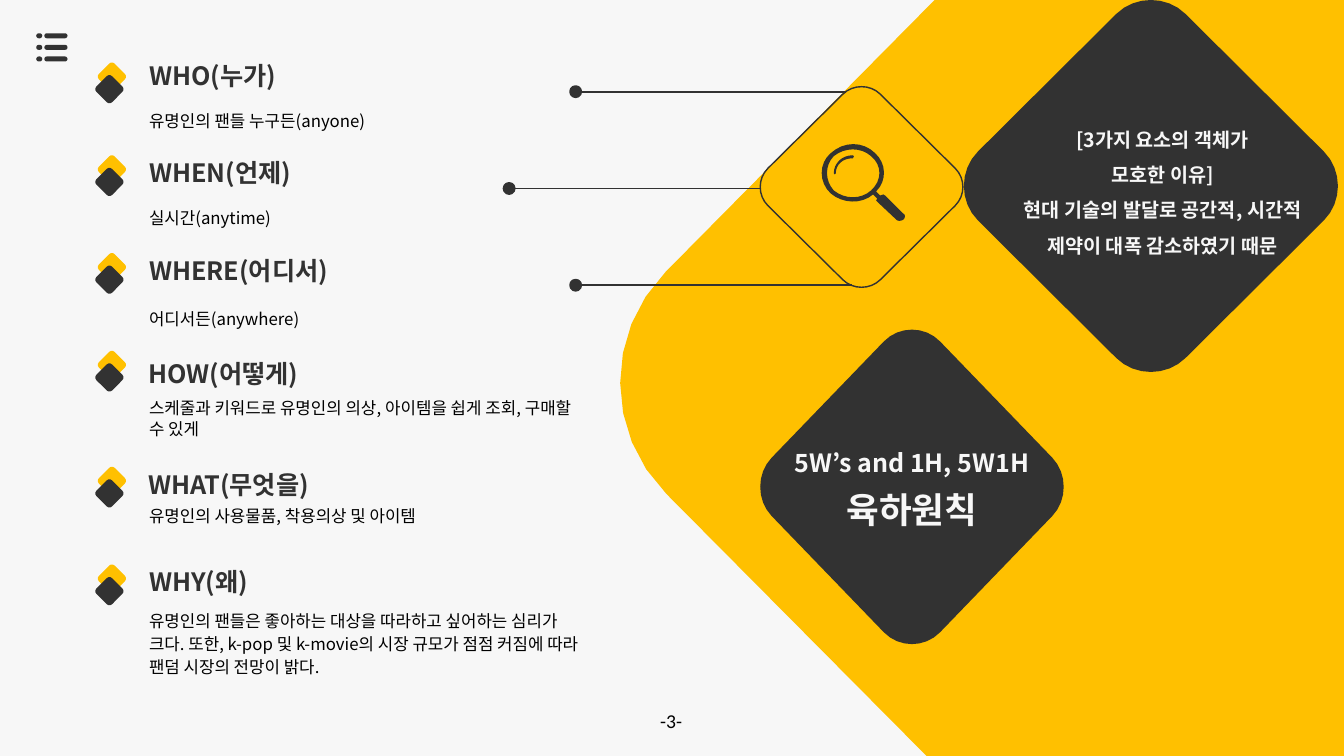
from lxml import etree
from pptx import Presentation
from pptx.dml.color import RGBColor
from pptx.enum.shapes import MSO_CONNECTOR, MSO_SHAPE
from pptx.enum.text import MSO_AUTO_SIZE, PP_ALIGN
from pptx.oxml.ns import qn
from pptx.util import Inches, Pt

COLORS = {"dark": "323232", "yellow": "FFC000", "light": "F7F7F7", "black": "000000"}
COLORS = {name: RGBColor.from_string(value) for name, value in COLORS.items()}
KOREAN_FONT = "Noto Sans CJK KR"
CURVE_STEPS = 8

presentation = Presentation()
presentation.slide_width = Inches(13.33)
presentation.slide_height = Inches(7.5)
slide = presentation.slides.add_slide(presentation.slide_layouts[6])
slide.background.fill.solid()
slide.background.fill.fore_color.rgb = COLORS["light"]


def add_outline(contours, fill=None):
    """Each contour step is a line end (x, y) or a cubic curve (x1, y1, x2, y2, x, y)."""
    builder = None
    for contour in contours:
        points = [contour[0]]
        for step in contour[1:]:
            if len(step) == 2:
                points.append(step)
                continue
            nodes = [points[-1], step[0:2], step[2:4], step[4:6]]
            for index in range(1, CURVE_STEPS + 1):
                t = index / CURVE_STEPS
                weights = [(1 - t) ** 3, 3 * t * (1 - t) ** 2, 3 * t * t * (1 - t), t ** 3]
                points.append(tuple(sum(w * node[axis] for w, node in zip(weights, nodes))
                                    for axis in (0, 1)))
        points = [(Inches(x), Inches(y)) for x, y in points]
        if builder is None:
            builder = slide.shapes.build_freeform(*points[0])
        else:
            builder.move_to(*points[0])
        builder.add_line_segments(points[1:], close=True)
    shape = builder.convert_to_shape()
    shape.shadow.inherit = False
    if fill:
        shape.fill.solid()
        shape.fill.fore_color.rgb = COLORS[fill]
        shape.line.fill.background()
    else:
        shape.fill.background()
        shape.line.color.rgb = COLORS["dark"]
        shape.line.width = Pt(1)


def add_text(box, lines, color, bold=False, align=None, spacing=None, font=KOREAN_FONT):
    """Lines are (text, size) pairs, one paragraph each."""
    text_frame = slide.shapes.add_textbox(*[Inches(value) for value in box]).text_frame
    text_frame.word_wrap = True
    text_frame.text = "\n".join(text for text, size in lines)
    for paragraph, (text, size) in zip(text_frame.paragraphs, lines):
        paragraph.alignment = align
        paragraph.line_spacing = spacing
        run = paragraph.runs[0]
        run.font.size = Pt(size)
        run.font.name = font
        run.font.bold = bold
        run.font.color.rgb = COLORS[color]
        east_asian = etree.SubElement(run.font._element, qn("a:ea"))
        east_asian.set("typeface", font)
    return text_frame


# Yellow panel
add_outline([[(9.27, 0), (13.33, 0), (13.33, 7.58), (9.27, 7.58), (6.61, 4.9),
              (6, 4.29, 6, 3.31, 6.6, 2.7)]], "yellow")

# Rounded bars of the menu icon: left, top, width, height, corner, rotation, fill
bars = []
for row in range(3):
    for left, width in ((0.36, 0.06), (0.44, 0.23)):
        bars.append((left, 0.33 + row * 0.115, width, 0.05, 0.5, 0, "dark"))
# Pair of small turned squares beside each heading
for marker_top in (0.65, 1.57, 2.54, 3.51, 4.66, 5.63):
    bars += [(1, marker_top, 0.22, 0.22, 0.17, 45, "yellow"),
             (0.975, marker_top + 0.125, 0.22, 0.22, 0.17, 45, "dark")]
for left, top, width, height, corner, rotation, fill in bars:
    bar = slide.shapes.add_shape(MSO_SHAPE.ROUNDED_RECTANGLE, Inches(left), Inches(top),
                                 Inches(width), Inches(height))
    bar.adjustments[0] = corner
    bar.rotation = rotation
    bar.shadow.inherit = False
    bar.fill.solid()
    bar.fill.fore_color.rgb = COLORS[fill]
    bar.line.fill.background()

# Lines with dots that lead to the magnifier diamond
for dot_left, y, line_end in ((5.66, 0.91, 8.39), (5, 1.87, 7.54), (5.66, 2.83, 8.45)):
    leader = slide.shapes.add_connector(MSO_CONNECTOR.STRAIGHT, Inches(dot_left + 0.08),
                                        Inches(y), Inches(line_end), Inches(y))
    leader.line.color.rgb = COLORS["dark"]
    leader.line.width = Pt(1.25)
    etree.SubElement(leader._element.spPr, qn("a:effectLst"))
    dot = slide.shapes.add_shape(MSO_SHAPE.OVAL, Inches(dot_left), Inches(y - 0.05),
                                 Inches(0.1), Inches(0.1))
    dot.shadow.inherit = False
    dot.fill.solid()
    dot.fill.fore_color.rgb = COLORS["dark"]
    dot.line.color.rgb = COLORS["dark"]
    dot.line.width = Pt(2)

# Large rounded diamonds: one corner, turned four times
for left, top, width, height, fill in ((7.54, 3.27, 3.01, 3.12, "dark"),
                                       (7.54, 0.86, 2.01, 1.99, None),
                                       (9.56, 0, 3.71, 3.69, "dark")):
    corner = [(0.925, -0.185), (1.025, -0.085), (1.025, 0.085), (0.925, 0.185)]
    contour = []
    for quarter in range(4):
        placed = [(left + width * (1 + x) / 2, top + height * (1 + y) / 2) for x, y in corner]
        contour += [placed[0], placed[1] + placed[2] + placed[3]]
        corner = [(-y, x) for x, y in corner]
    add_outline([contour], fill)

# Magnifier: glint, then lens ring with handle
add_outline([[(8.46, 1.54), (8.35, 1.54, 8.27, 1.62, 8.27, 1.72), (8.28, 1.73), (8.29, 1.72),
              (8.29, 1.63, 8.36, 1.57, 8.46, 1.57), (8.47, 1.55)]], "dark")
add_outline([[(8.96, 2.12), (8.78, 1.94), (8.76, 1.93), (8.73, 1.94), (8.69, 1.9),
              (8.8, 1.79, 8.79, 1.62, 8.68, 1.52), (8.56, 1.4, 8.37, 1.4, 8.24, 1.52),
              (8.12, 1.62, 8.12, 1.81, 8.24, 1.92), (8.36, 2.02, 8.54, 2.03, 8.66, 1.93),
              (8.7, 1.97), (8.69, 1.99), (8.71, 2.01), (8.89, 2.18),
              (8.91, 2.2, 8.94, 2.19, 8.96, 2.18), (8.98, 2.16, 8.98, 2.13, 8.96, 2.12)],
             [(8.64, 1.89), (8.54, 1.98, 8.38, 1.98, 8.27, 1.89),
              (8.18, 1.79, 8.18, 1.64, 8.27, 1.55), (8.38, 1.46, 8.54, 1.46, 8.64, 1.55),
              (8.75, 1.64, 8.75, 1.79, 8.64, 1.89)]], "dark")

# Headings: text, box, line spacing
headings = [
    ("WHO(누가)", (1.38, 0.61, 1.74, 0.35), 0.8),
    ("WHEN(언제)", (1.38, 1.57, 1.74, 0.35), 0.8),
    ("WHERE(어디서)", (1.38, 2.52, 2.19, 0.46), 0.9),
    ("HOW(어떻게)", (1.37, 3.54, 2.01, 0.46), 0.9),
    ("WHAT(무엇을)", (1.37, 4.64, 2.01, 0.46), 0.9),
    ("WHY(왜)", (1.38, 5.63, 1.47, 0.35), 0.8),
]
for text, box, spacing in headings:
    add_text(box, [(text, 18)], "dark", bold=True, spacing=spacing)

# Answers: text, box, line spacing, alignment
answers = [
    ("유명인의 팬들 누구든(anyone)", (1.38, 0.95, 2.73, 0.46), 1.5, PP_ALIGN.JUSTIFY),
    ("실시간(anytime)", (1.38, 1.91, 2.66, 0.46), 1.5, PP_ALIGN.JUSTIFY),
    ("어디서든(anywhere)", (1.38, 2.91, 2.19, 0.35), 1.5, PP_ALIGN.JUSTIFY),
    ("스케줄과 키워드로 유명인의 의상, 아이템을 쉽게 조회, 구매할 수 있게",
     (1.38, 3.9, 4.47, 0.65), None, None),
    ("유명인의 사용물품, 착용의상 및 아이템", (1.38, 4.97, 4.47, 0.4), None, None),
    ("유명인의 팬들은 좋아하는 대상을 따라하고 싶어하는 심리가 크다. 또한, k-pop 및 "
     "k-movie의 시장 규모가 점점 커짐에 따라 팬덤 시장의 전망이 밝다.",
     (1.38, 5.98, 4.47, 1.32), 1.15, None),
]
for text, box, spacing, align in answers:
    add_text(box, [(text, 12)], "black", align=align, spacing=spacing)

# Text on the dark diamonds
title = add_text((7.6, 4.45, 2.89, 0.94), [("5W’s and 1H, 5W1H", 17.9), ("육하원칙", 25.4)],
                 "light", bold=True, align=PP_ALIGN.CENTER, spacing=0.8)
title.paragraphs[1].space_before = Pt(13)
reasons = ["[3가지 요소의 객체가", "모호한 이유]",
           "현대 기술의 발달로 공간적, 시간적 제약이 대폭 감소하였기 때문"]
add_text((9.79, 1.1, 3.48, 1.15), [(reason, 14) for reason in reasons], "light",
         bold=True, align=PP_ALIGN.CENTER, spacing=1.5)

# Page number
page_number = add_text((6.45, 6.93, 0.43, 0.44), [("-3-", 14)], "black", font="Calibri")
page_number.margin_top = page_number.margin_bottom = Inches(0.1)
page_number.auto_size = MSO_AUTO_SIZE.SHAPE_TO_FIT_TEXT

presentation.save("out.pptx")
